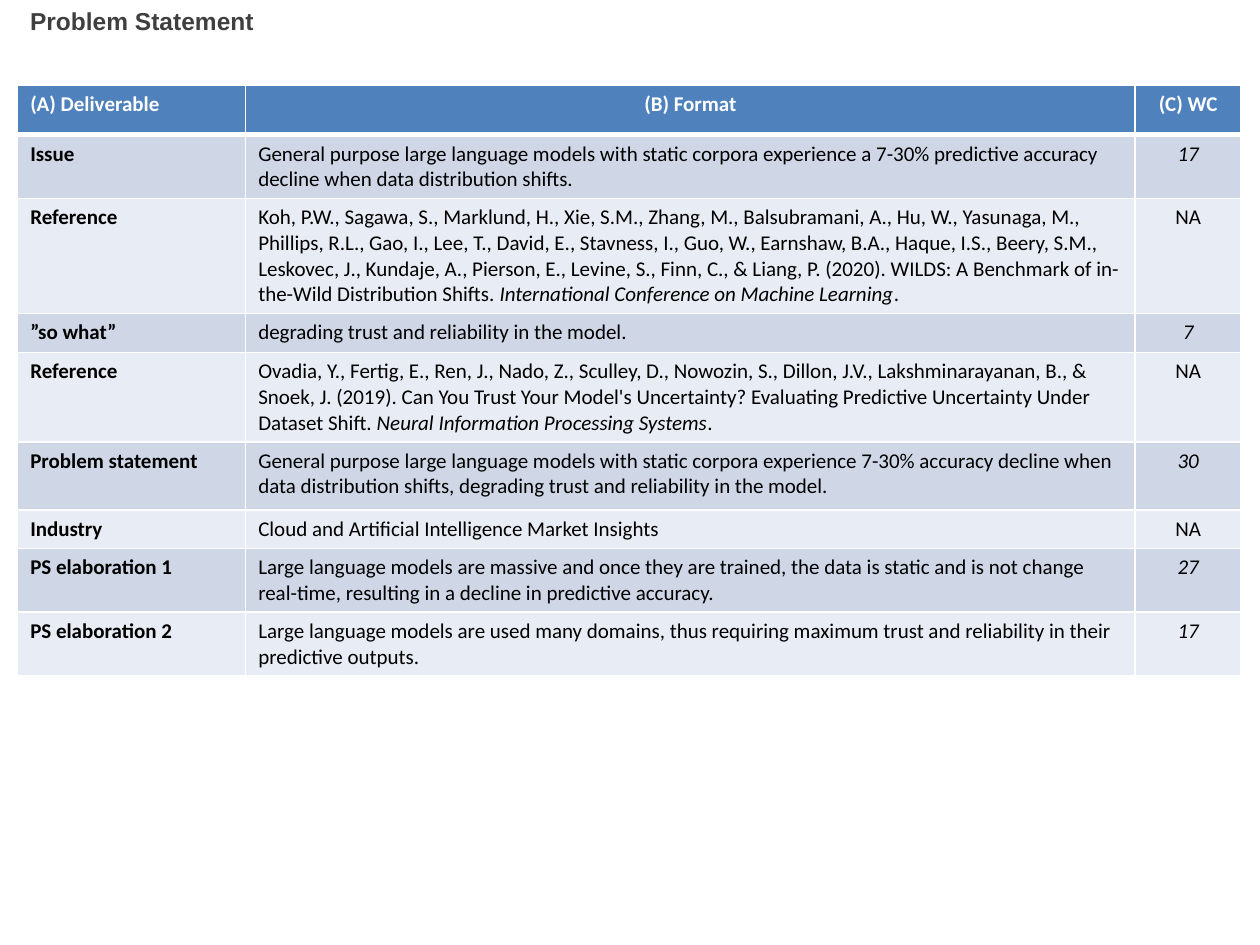
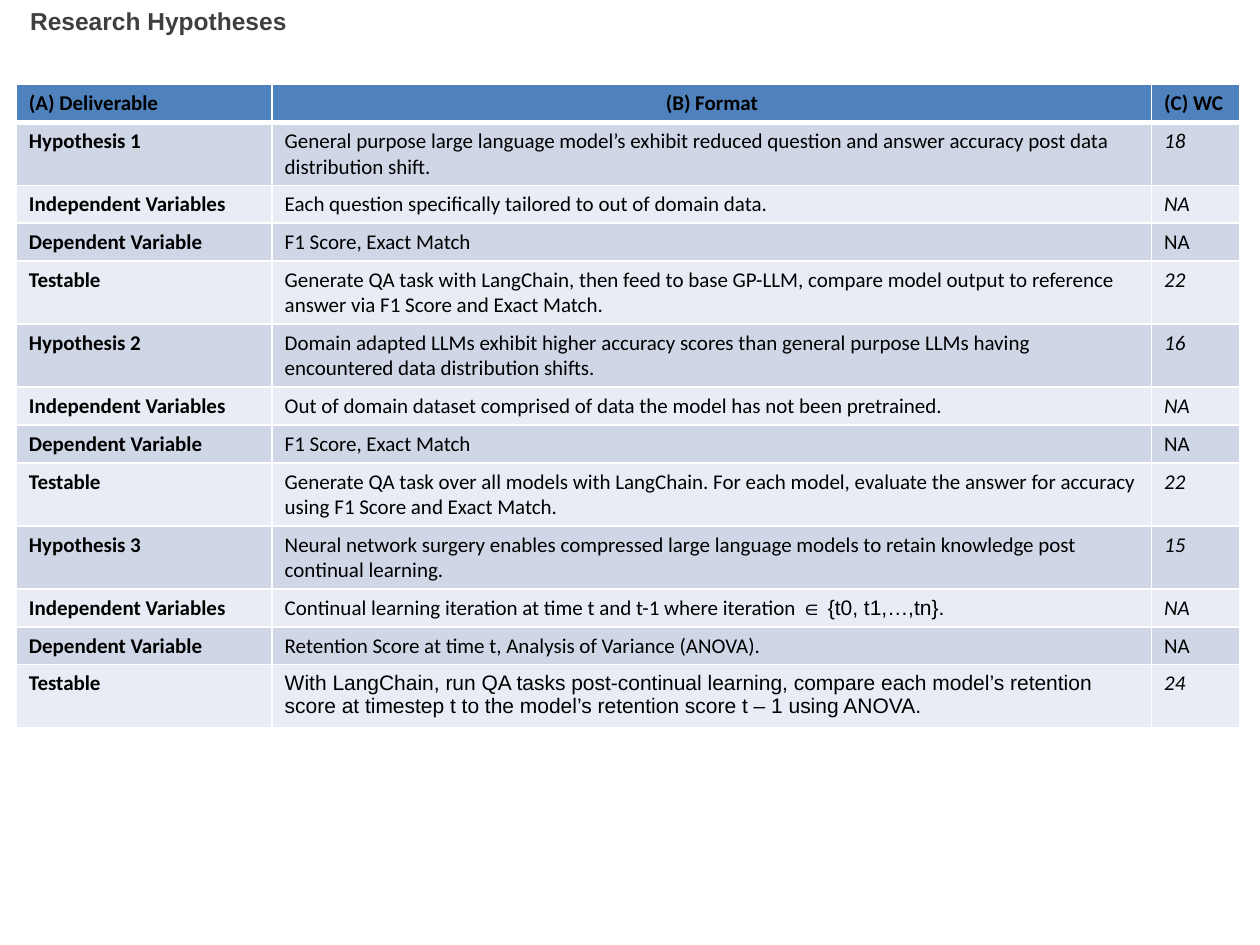
"""Build the problem statement and research hypotheses slides."""
from lxml import etree
from pptx import Presentation
from pptx.dml.color import RGBColor
from pptx.enum.text import MSO_ANCHOR, PP_ALIGN
from pptx.oxml.ns import qn
from pptx.util import Inches, Pt

LEFT, CENTER = PP_ALIGN.LEFT, PP_ALIGN.CENTER
TOP = MSO_ANCHOR.TOP

WHITE = RGBColor(0xFF, 0xFF, 0xFF)
BLACK = RGBColor(0x00, 0x00, 0x00)
TITLE_GRAY = RGBColor(0x3F, 0x3F, 0x3F)
HEADER_BLUE = RGBColor(0x4F, 0x81, 0xBD)
BAND_COLORS = (RGBColor(0xCF, 0xD7, 0xE7), RGBColor(0xE8, 0xEC, 0xF4))

TITLE_FORMAT = {"name": "Arial", "size": Pt(14), "bold": True}
CELL_FORMAT = {"name": "Calibri", "size": Pt(12), "bold": False, "italic": False}
BOLD = {"bold": True}
ITALIC = {"italic": True}
ARIAL = {"name": "Arial"}

HEADER = ("(A) Deliverable", "(B) Format", "(C) WC")
INDEPENDENT = "Independent Variables"
DEPENDENT = "Dependent Variable"

PROBLEM_ROWS = [
    ("Issue",
     [("General purpose large language models with static corpora experience a 7-30% "
       "predictive accuracy decline when data distribution shifts.", {})], "17"),
    ("Reference",
     [("Koh, P.W., Sagawa, S., Marklund, H., Xie, S.M., Zhang, M., Balsubramani, A., "
       "Hu, W., Yasunaga, M., Phillips, R.L., Gao, I., Lee, T., David, E., Stavness, I., "
       "Guo, W., Earnshaw, B.A., Haque, I.S., Beery, S.M., Leskovec, J., Kundaje, A., "
       "Pierson, E., Levine, S., Finn, C., & Liang, P. (2020). WILDS: A Benchmark of "
       "in-the-Wild Distribution Shifts. ", {}),
      ("International Conference on Machine Learning", ITALIC), (".", {})], "NA"),
    ("”so what”", [("degrading trust and reliability in the model.", {})], "7"),
    ("Reference",
     [("Ovadia, Y., Fertig, E., Ren, J., Nado, Z., Sculley, D., Nowozin, S., Dillon, J.V., "
       "Lakshminarayanan, B., & Snoek, J. (2019). Can You Trust Your Model's Uncertainty? "
       "Evaluating Predictive Uncertainty Under Dataset Shift. ", {}),
      ("Neural Information Processing Systems", ITALIC), (".", {})], "NA"),
    ("Problem statement",
     [("General purpose large language models with static corpora experience 7-30% accuracy "
       "decline when data distribution shifts, degrading trust and reliability in the model.",
       {})], "30"),
    ("Industry", [("Cloud and Artificial Intelligence Market Insights", {})], "NA"),
    ("PS elaboration 1",
     [("Large language models are massive and once they are trained, the data is static and "
       "is not change real-time, resulting in a decline in predictive accuracy.", {})], "27"),
    ("PS elaboration 2",
     [("Large language models are used many domains, thus requiring maximum trust and "
       "reliability in their predictive outputs.", {})], "17"),
]

HYPOTHESIS_ROWS = [
    ("Hypothesis 1",
     [("General purpose large language model’s exhibit reduced question and answer accuracy "
       "post data distribution shift.", {})], "18"),
    (INDEPENDENT,
     [("Each question specifically tailored to out of domain data.", {})], "NA"),
    (DEPENDENT, [("F1 Score, Exact Match", {})], "NA"),
    ("Testable",
     [("Generate QA task with LangChain, then feed to base GP-LLM, compare model output to "
       "reference answer via F1 Score and Exact Match.", {})], "22"),
    ("Hypothesis 2",
     [("Domain adapted LLMs exhibit higher accuracy scores than general purpose LLMs having "
       "encountered data distribution shifts.", {})], "16"),
    (INDEPENDENT,
     [("Out of domain dataset comprised of data the model has not been pretrained.", {})], "NA"),
    (DEPENDENT, [("F1 Score, Exact Match", {})], "NA"),
    ("Testable",
     [("Generate QA task over all models with LangChain. For each model, evaluate the answer "
       "for accuracy using F1 Score and Exact Match.", {})], "22"),
    ("Hypothesis 3",
     [("Neural network surgery enables compressed large language models to retain knowledge "
       "post continual learning.", {})], "15"),
    (INDEPENDENT,
     [("Continual learning iteration at time t and t-1 where iteration ", {}),
      ("∈ {t0, t1,…,tn}.", ARIAL)], "NA"),
    (DEPENDENT, [("Retention Score at time t, Analysis of Variance (ANOVA).", {})], "NA"),
    ("Testable",
     [("With LangChain, run QA tasks post-continual learning, compare each model’s retention "
       "score at timestep t to the model’s retention score t – 1 using ANOVA.", ARIAL)], "24"),
]

PROBLEM_LAYOUT = {
    "box": (0.14, 0.68, 9.71, 4.65),
    "widths": (1.81, 7.06, 0.84),
    "heights": (0.39, 0.5, 0.39, 0.31, 0.39, 0.54, 0.23, 0.33, 0.17),
    "header_color": WHITE,
    "count_align": CENTER,
}
HYPOTHESIS_LAYOUT = {
    "box": (0.13, 0.67, 9.71, 5.1),
    "widths": (2.03, 6.98, 0.7),
    "heights": (0.14, 0.32, 0.23, 0.14, 0.14, 0.17) + (0.23,) * 7,
    "header_color": BLACK,
    "count_align": LEFT,
}


def add_run(paragraph, text, color, font_format):
    """Append one run with the given colour and font values."""
    run = paragraph.add_run()
    run.text = text
    run.font.color.rgb = color
    for attribute, value in font_format.items():
        setattr(run.font, attribute, value)


def add_title(slide, title):
    """Write the slide title in the shared band at the top."""
    box = slide.shapes.add_textbox(Inches(0.14), 0, Inches(8.48), Inches(0.68))
    frame = box.text_frame
    frame.word_wrap = True
    frame.vertical_anchor = TOP
    add_run(frame.paragraphs[0], title, TITLE_GRAY, TITLE_FORMAT)


def set_borders(cell, bottom_points):
    """Draw white borders with a chosen bottom width."""
    properties = cell._tc.get_or_add_tcPr()
    for side, points in (("L", 1), ("R", 1), ("T", 1), ("B", bottom_points)):
        line = etree.SubElement(properties, qn(f"a:ln{side}"), w=str(Pt(points)))
        fill = etree.SubElement(line, qn("a:solidFill"))
        etree.SubElement(fill, qn("a:srgbClr"), val=str(WHITE))


def fill_cell(cell, runs, fill, color=BLACK, align=LEFT, bottom_points=1):
    """Set the borders, fill and text of a cell."""
    set_borders(cell, bottom_points)
    cell.fill.solid()
    cell.fill.fore_color.rgb = fill
    paragraph = cell.text_frame.paragraphs[0]
    paragraph.alignment = align
    for text, changes in runs:
        add_run(paragraph, text, color, CELL_FORMAT | changes)


def add_deliverables(slide, rows, layout, italic_labels=()):
    """Add the table of deliverables, formats and word counts."""
    box = [Inches(length) for length in layout["box"]]
    graphic = slide.shapes.add_table(len(rows) + 1, len(HEADER), *box)
    table = graphic.table
    for column, width in zip(table.columns, layout["widths"]):
        column.width = Inches(width)
    for row, height in zip(table.rows, layout["heights"]):
        row.height = Inches(height)
    graphic.height = box[3]

    count_align = layout["count_align"]
    for column, (heading, align) in enumerate(zip(HEADER, (LEFT, CENTER, count_align))):
        fill_cell(table.cell(0, column), [(heading, BOLD)], HEADER_BLUE,
                  layout["header_color"], align, bottom_points=3)
    for index, (label, description, count) in enumerate(rows):
        band = BAND_COLORS[index % 2]
        count_format = ITALIC if count.isdigit() or label in italic_labels else {}
        label_cell, format_cell, count_cell = table.rows[index + 1].cells
        fill_cell(label_cell, [(label, BOLD)], band)
        fill_cell(format_cell, description, band)
        fill_cell(count_cell, [(count, count_format)], band, align=count_align)


def main():
    """Create both slides and save the presentation."""
    presentation = Presentation()
    presentation.slide_width = Inches(10)
    presentation.slide_height = Inches(7.5)
    blank = presentation.slide_layouts[6]

    problem = presentation.slides.add_slide(blank)
    add_deliverables(problem, PROBLEM_ROWS, PROBLEM_LAYOUT)
    add_title(problem, "Problem Statement")

    hypotheses = presentation.slides.add_slide(blank)
    add_deliverables(hypotheses, HYPOTHESIS_ROWS, HYPOTHESIS_LAYOUT, (INDEPENDENT,))
    add_title(hypotheses, "Research Hypotheses")

    presentation.save("out.pptx")


if __name__ == "__main__":
    main()
